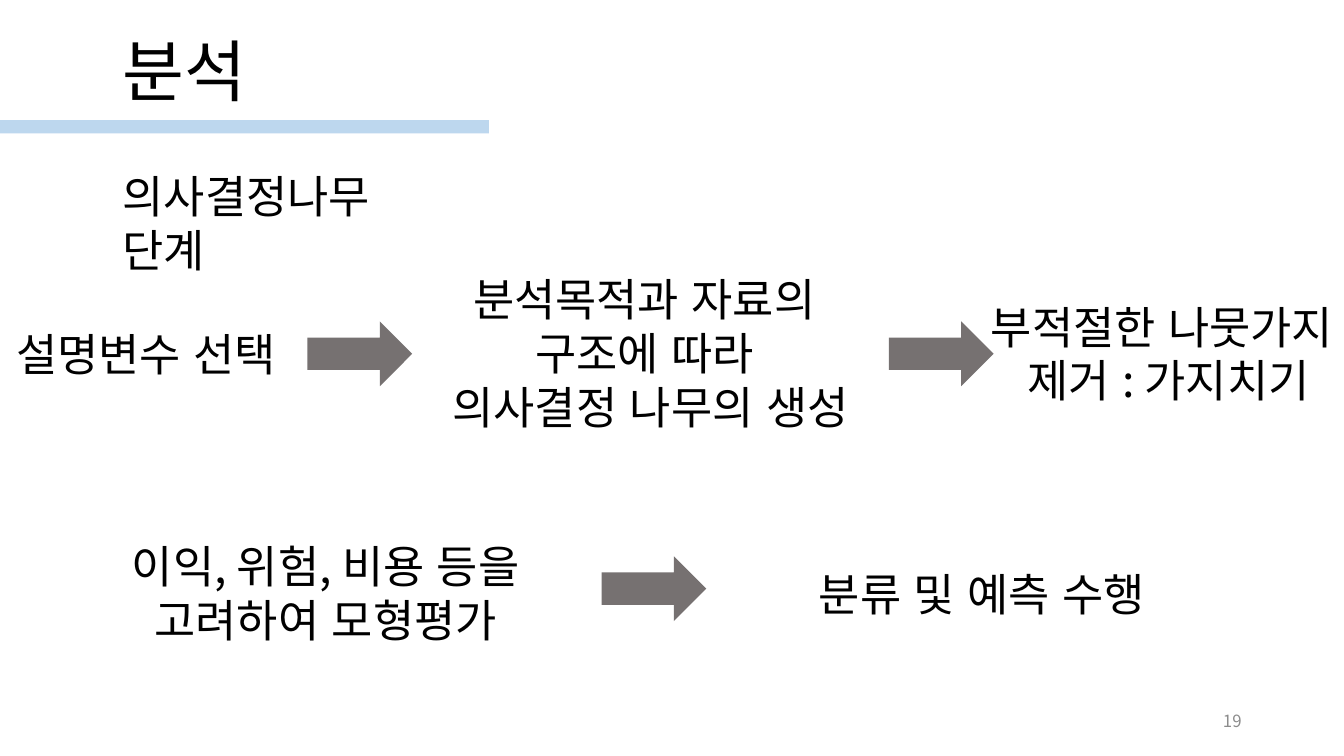
from dataclasses import dataclass

from lxml.etree import SubElement
from pptx import Presentation
from pptx.dml.color import RGBColor
from pptx.enum.lang import MSO_LANGUAGE_ID
from pptx.enum.shapes import MSO_SHAPE
from pptx.enum.text import MSO_ANCHOR, MSO_AUTO_SIZE, PP_ALIGN
from pptx.oxml.ns import qn
from pptx.shapes.autoshape import Shape
from pptx.slide import Slide
from pptx.text.text import Font, TextFrame
from pptx.util import Cm, Pt

FONT = "Noto Sans CJK KR"
BLACK = RGBColor(0x00, 0x00, 0x00)
GRAY = RGBColor(0x8C, 0x8C, 0x8C)
ARROW_GRAY = RGBColor(0x76, 0x71, 0x71)
LIGHT_BLUE = RGBColor(0xBD, 0xD7, 0xEE)

MARGIN = 2.84
HEADING_W = 8.71
STEP_W = 10.74
ROW_Y = 8.1


@dataclass
class Label:
    x: float
    y: float
    w: float
    h: float
    lines: tuple[str, ...]
    align: PP_ALIGN = PP_ALIGN.CENTER


@dataclass
class Block:
    kind: MSO_SHAPE
    x: float
    y: float
    w: float
    h: float
    color: RGBColor


def style_font(font: Font, size: float, color: RGBColor) -> None:
    font.size = Pt(size)
    font.name = FONT
    font.color.rgb = color
    font.language_id = MSO_LANGUAGE_ID.KOREAN


def write(tf: TextFrame, label: Label, size: float) -> None:
    tf.word_wrap = True
    tf.auto_size = MSO_AUTO_SIZE.SHAPE_TO_FIT_TEXT
    tf.vertical_anchor = MSO_ANCHOR.TOP
    for i, line in enumerate(label.lines):
        p = tf.add_paragraph() if i else tf.paragraphs[0]
        p.alignment = label.align
        r = p.add_run()
        r.text = line
        style_font(r.font, size, BLACK)
        SubElement(r.font._element, qn("a:ea"), typeface=FONT)


def place(sp: Shape, label: Label) -> None:
    sp.left, sp.top = Cm(label.x), Cm(label.y)
    sp.width, sp.height = Cm(label.w), Cm(label.h)


def add_label(s: Slide, label: Label) -> None:
    sp = s.shapes.add_textbox(0, 0, 0, 0)
    place(sp, label)
    write(sp.text_frame, label, 32)


def add_block(s: Slide, block: Block) -> None:
    sp = s.shapes.add_shape(block.kind, Cm(block.x), Cm(block.y), Cm(block.w), Cm(block.h))
    sp.shadow.inherit = False
    sp.fill.solid()
    sp.fill.fore_color.rgb = block.color
    sp.line.fill.background()


def arrow(x: float, y: float) -> Block:
    return Block(MSO_SHAPE.RIGHT_ARROW, x, y, 2.64, 1.63, ARROW_GRAY)


def add_slide_number(s: Slide, number: int) -> None:
    sp = s.shapes.add_textbox(Cm(23.92), Cm(17.66), Cm(7.62), Cm(1.01))
    tf = sp.text_frame
    tf.word_wrap = True
    tf.vertical_anchor = MSO_ANCHOR.MIDDLE
    p = tf.paragraphs[0]
    p.alignment = PP_ALIGN.RIGHT
    field = SubElement(p._p, qn("a:fld"), type="slidenum")
    field.set("id", "{B6F15528-21DE-4FAA-801E-634DDDAF4B2B}")
    style_font(Font(SubElement(field, qn("a:rPr"))), 12, GRAY)
    SubElement(field, qn("a:t")).text = str(number)


TITLE = Label(MARGIN, 0.6, HEADING_W, 2.31, ("분석",), PP_ALIGN.LEFT)
LABELS = [
    Label(MARGIN, 4.12, HEADING_W, 1.63, ("의사결정나무 단계",), PP_ALIGN.LEFT),
    Label(-1.68, ROW_Y, STEP_W, 1.63, ("설명변수 선택",)),
    Label(11.03, 6.73, STEP_W, 4.37,
          ("분석목적과 자료의 ", "구조에 따라 ", "의사결정 나무의 생성")),
    Label(23.92, 7.42, STEP_W, 3.0, ("부적절한 나뭇가지", " 제거 : 가지치기")),
    Label(MARGIN, 13.46, STEP_W, 3.0, ("이익, 위험, 비용 등을 고려하여 모형평가",)),
    Label(19.38, 14.15, STEP_W, 1.63, ("분류 및 예측 수행",)),
]
BLOCKS = [
    Block(MSO_SHAPE.RECTANGLE, 0, 3.03, 12.32, 0.33, LIGHT_BLUE),
    arrow(7.75, ROW_Y),
    arrow(22.4, ROW_Y),
    arrow(15.16, 14.02),
]
SLIDE_NUMBER = 19

prs = Presentation()
prs.slide_width, prs.slide_height = Cm(33.87), Cm(19.05)
prs.element.set("firstSlideNum", str(SLIDE_NUMBER))
s = prs.slides.add_slide(prs.slide_layouts[5])

place(s.shapes.title, TITLE)
write(s.shapes.title.text_frame, TITLE, 48)
for label in LABELS:
    add_label(s, label)
for block in BLOCKS:
    add_block(s, block)
add_slide_number(s, SLIDE_NUMBER)

prs.save("out.pptx")
